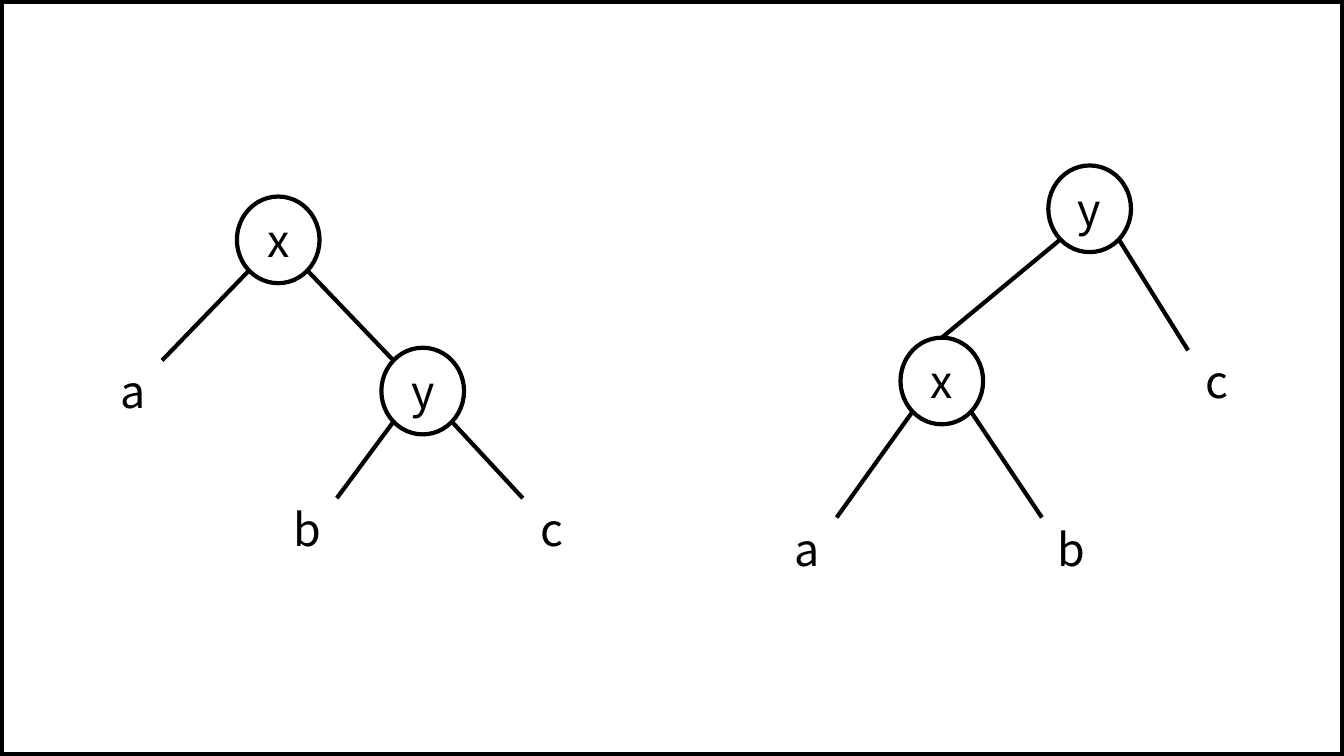
from math import sqrt
from lxml.etree import SubElement
from pptx import Presentation
from pptx.dml.color import RGBColor
from pptx.enum.shapes import MSO_CONNECTOR, MSO_SHAPE
from pptx.enum.text import MSO_ANCHOR, PP_ALIGN
from pptx.oxml.ns import qn
from pptx.util import Inches, Pt

COLORS = {"ink": "000000", "paper": "FFFFFF"}
FONT = "Noto Sans CJK KR"

deck = Presentation()
deck.slide_width = Inches(13.3333)
deck.slide_height = Inches(7.5)
col = deck.slide_width / 160
row = deck.slide_height / 90
wide, high = 9.84 * col, 10.32 * row
near = (1 - sqrt(0.5)) / 2
far = 1 - near

slide = deck.slides.add_slide(deck.slide_layouts[6])
back = slide.background.fill
back.solid()
back.fore_color.rgb = RGBColor.from_string(COLORS["paper"])


def stroke(line, width):
    line.color.rgb = RGBColor.from_string(COLORS["ink"])
    line.width = Pt(width)


def write(shape, text, size=32, color="ink", align=PP_ALIGN.CENTER):
    frame = shape.text_frame
    frame.word_wrap = False
    frame.vertical_anchor = MSO_ANCHOR.MIDDLE
    frame.margin_left = frame.margin_right = 0
    frame.margin_top = frame.margin_bottom = 0
    part = frame.paragraphs[0]
    part.alignment = align
    run = part.add_run()
    run.text = text
    run.font.size = Pt(size)
    run.font.name = FONT
    run.font.color.rgb = RGBColor.from_string(COLORS[color])
    SubElement(run.font._element, qn("a:ea"), typeface=FONT)


border = slide.shapes.add_shape(
    MSO_SHAPE.RECTANGLE, 0, 0, deck.slide_width, deck.slide_height)
border.shadow.inherit = False
border.fill.background()
stroke(border.line, 6)

trees = [
    ({"x": (28.2, 23.4), "y": (45.4, 41.4), "a": (10.9, 41.4),
      "b": (31.7, 57.8), "c": (60.8, 57.8)},
     ["xy", "xa", "yb", "yc"]),
    ({"x": (107.2, 40.2), "y": (124.8, 19.7), "a": (91.2, 60.1),
      "b": (122.6, 60.1), "c": (140, 40.2)},
     ["xa", "xb", "yx", "yc"]),
]

for spots, edges in trees:
    group = slide.shapes.add_group_shape()
    nodes = {}
    for name, (left, top) in spots.items():
        node = group.shapes.add_shape(
            MSO_SHAPE.OVAL, int(left * col), int(top * row), int(wide), int(high))
        node.shadow.inherit = False
        node.fill.background()
        if name in "xy":
            stroke(node.line, 3)
        else:
            node.line.fill.background()
        write(node, name)
        nodes[name] = node

    for start, end in edges:
        head, tail = nodes[start], nodes[end]
        out, into = (near, far) if tail.left < head.left else (far, near)
        edge = group.shapes.add_connector(
            MSO_CONNECTOR.STRAIGHT,
            int(head.left + out * wide), int(head.top + far * high),
            int(tail.left + into * wide), int(tail.top + near * high))
        if end == "x":
            edge.end_connect(tail, 0)
        stroke(edge.line, 3)
        SubElement(edge._element.spPr, qn("a:effectLst"))

deck.save("out.pptx")
